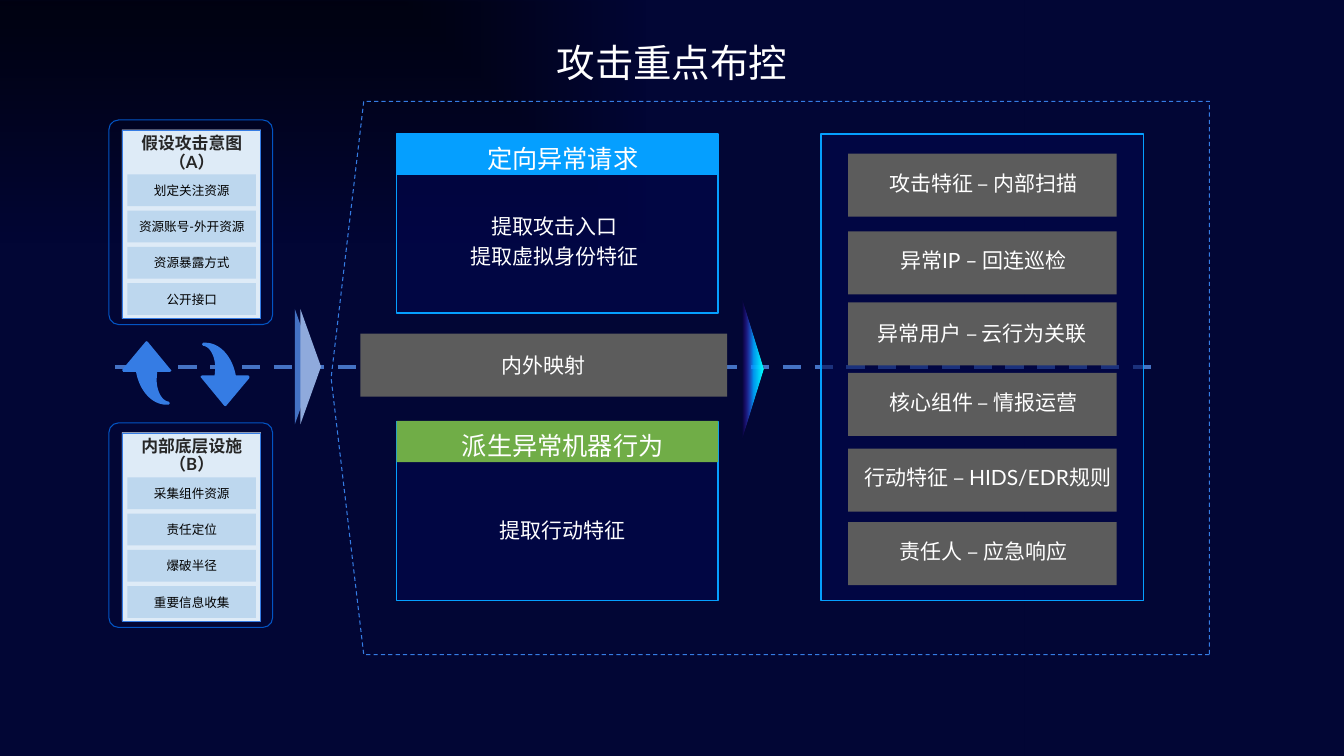
from dataclasses import dataclass

from pptx import Presentation
from pptx.dml.color import RGBColor
from pptx.enum.dml import MSO_LINE
from pptx.enum.shapes import MSO_CONNECTOR, MSO_SHAPE
from pptx.enum.text import MSO_ANCHOR, MSO_AUTO_SIZE, PP_ALIGN
from pptx.oxml import parse_xml
from pptx.oxml.ns import nsdecls, qn
from pptx.util import Inches, Pt


@dataclass(frozen=True)
class Theme:
    font: str = "Lato"
    background: str = "020635"
    white: str = "FFFFFF"
    black: str = "000000"
    dark: str = "262626"
    panel: str = "01064D"
    sky: str = "059FFF"
    green: str = "70AD47"
    gray: str = "5C5C5C"
    blue: str = "4472C4"
    light_blue: str = "8FAADC"
    bright_blue: str = "357CE4"
    card_line: str = "0354C3"
    card: str = "DEEBF7"
    chip: str = "BDD7EE"
    title_size: int = 55
    header_size: int = 36
    body_size: int = 30
    card_size: int = 24
    chip_size: int = 18


T = Theme()


def rgb(color):
    return RGBColor.from_string(color)


def write_text(sp, text, size=T.body_size, color=T.white, bold=False,
               spacing=None, anchor=MSO_ANCHOR.MIDDLE, inset=0.1):
    """Fill a shape with centred text, one paragraph per line."""
    tf = sp.text_frame
    tf.word_wrap = True
    tf.vertical_anchor = anchor
    if inset is not None:
        tf.margin_left = tf.margin_right = Inches(inset)
        tf.margin_top = tf.margin_bottom = Inches(inset)
    for i, line in enumerate(text.split("\n")):
        p = tf.paragraphs[0] if i == 0 else tf.add_paragraph()
        p.alignment = PP_ALIGN.CENTER
        p.line_spacing = spacing
        r = p.add_run()
        r.text = line
        r.font.name, r.font.size, r.font.bold = T.font, Pt(size), bold
        r.font.color.rgb = rgb(color)
    return tf


def curve(p0, p1, p2, p3, steps=16):
    """Points along a cubic Bezier curve."""
    points = []
    for i in range(steps + 1):
        t = i / steps
        weights = ((1 - t) ** 3, 3 * t * (1 - t) ** 2, 3 * t * t * (1 - t), t ** 3)
        points.append(tuple(sum(w * q[axis] for w, q in zip(weights, (p0, p1, p2, p3)))
                            for axis in (0, 1)))
    return points


class Builder:
    def __init__(self, slide):
        self.s = slide

    def finish(self, sp, fill=None, alpha=None, line=None, width=1.5, dash=None):
        sp.shadow.inherit = False
        if fill:
            sp.fill.solid()
            sp.fill.fore_color.rgb = rgb(fill)
            if alpha is not None:
                color = sp._element.spPr.find(qn("a:solidFill"))[0]
                color.append(parse_xml(f'<a:alpha {nsdecls("a")} val="{alpha * 1000}"/>'))
        else:
            sp.fill.background()
        if line:
            sp.line.color.rgb = rgb(line)
            sp.line.width = Pt(width)
            if dash:
                sp.line.dash_style = dash
        else:
            sp.line.fill.background()
        return sp

    def shape(self, x, y, w, h, kind=MSO_SHAPE.RECTANGLE, adj=None, rotation=0, **style):
        sp = self.s.shapes.add_shape(kind, Inches(x), Inches(y), Inches(w), Inches(h))
        if adj is not None:
            sp.adjustments[0] = adj
        sp.rotation = rotation
        return self.finish(sp, **style)

    def text(self, x, y, w, h, text, grow=False, **style):
        sp = self.s.shapes.add_textbox(Inches(x), Inches(y), Inches(w), Inches(h))
        tf = write_text(sp, text, **style)
        if grow:
            tf.auto_size = MSO_AUTO_SIZE.SHAPE_TO_FIT_TEXT

    def freeform(self, points, **style):
        points = [(Inches(x), Inches(y)) for x, y in points]
        fb = self.s.shapes.build_freeform(*points[0])
        fb.add_line_segments(points[1:], close=True)
        return self.finish(fb.convert_to_shape(), **style)

    def gradient(self, sp, stops, direction):
        stop_xml = "".join(
            f'<a:gs pos="{pos * 1000}"><a:srgbClr val="{color}">'
            f'<a:alpha val="{alpha * 1000}"/></a:srgbClr></a:gs>'
            for pos, color, alpha in stops)
        spPr = sp._element.spPr
        spPr.replace(spPr.find(qn("a:noFill")), parse_xml(
            f'<a:gradFill {nsdecls("a")} rotWithShape="1">'
            f'<a:gsLst>{stop_xml}</a:gsLst>{direction}</a:gradFill>'))

    def dashed_line(self, x1, y1, x2, y2, color, width):
        c = self.s.shapes.add_connector(MSO_CONNECTOR.STRAIGHT, Inches(x1), Inches(y1),
                                        Inches(x2), Inches(y2))
        c.line.color.rgb = rgb(color)
        c.line.width = Pt(width)
        c.line.dash_style = MSO_LINE.DASH
        c._element.spPr.append(parse_xml(f'<a:effectLst {nsdecls("a")}/>'))

    def headed_panel(self, y, header, color):
        self.shape(7.87, y + 0.01, 6.38, 3.55, fill=T.panel, alpha=60, line=T.sky, width=2)
        self.shape(7.87, y, 6.38, 0.82, fill=color)
        self.text(8.77, y + 0.21, 4.79, 0.55, header, size=T.header_size, inset=0.02)

    def card(self, y, title, items):
        self.shape(2.16, y, 3.25, 4.06, MSO_SHAPE.ROUNDED_RECTANGLE, 0.06, line=T.card_line)
        self.shape(2.42, y + 0.19, 2.76, 3.75, fill=T.card)
        self.text(2.47, y + 0.26, 2.67, 0.81, title, size=T.card_size, color=T.dark,
                  bold=True, spacing=0.9, inset=None)
        self.shape(2.43, y + 0.21, 2.74, 3.73, line=T.bright_blue)
        for i, item in enumerate(items):
            chip = self.shape(2.53, y + 1.08 + 0.72 * i, 2.55, 0.63, fill=T.chip)
            write_text(chip, item, size=T.chip_size, color=T.black)


def main():
    prs = Presentation()
    prs.slide_width, prs.slide_height = Inches(26.67), Inches(15)
    s = prs.slides.add_slide(prs.slide_layouts[6])
    s.background.fill.solid()
    s.background.fill.fore_color.rgb = rgb(T.background)
    b = Builder(s)

    # Dark glow in the top left corner, and title
    glow = b.shape(0, 0.01, 20.32, 15)
    b.gradient(glow, [(0, T.black, 100), (56, T.black, 50), (100, T.black, 0)],
               '<a:path path="rect"><a:fillToRect l="-98000" t="-85000" '
               'r="198000" b="185000"/></a:path>')
    b.text(5, 0.72, 16.67, 1.01, "攻击重点布控", size=T.title_size,
           anchor=MSO_ANCHOR.TOP, inset=None)

    # Middle panels and the axis between them
    b.headed_panel(2.65, "定向异常请求", T.sky)
    b.text(8.45, 3.98, 5.11, 1.5, "提取攻击入口\n提取虚拟身份特征", spacing=1.2, inset=0.02)
    b.headed_panel(8.35, "派生异常机器行为", T.green)
    b.dashed_line(2.28, 7.28, 23.07, 7.28, T.blue, 6.5)
    b.text(8.61, 9.72, 5.11, 1.5, "提取行动特征", spacing=1.2, inset=0.02)

    # Cards on the left
    b.card(2.38, "假设攻击意图（A）",
           ["划定关注资源", "资源账号-外开资源", "资源暴露方式", "公开接口"])
    b.card(8.39, "内部底层设施\n（B）",
           ["采集组件资源", "责任定位", "爆破半径", "重要信息收集"])

    # Curved arrows: the second is the first turned by half
    up_arrow = [(3.4, 7.35), (2.93, 6.78), (2.91, 6.77), (2.89, 6.78), (2.43, 7.33),
                (2.43, 7.36), (2.45, 7.38),
                *curve((2.7, 7.38), (2.77, 7.76), (3.02, 8.03), (3.3, 8.03)),
                (3.35, 8.03), (3.37, 8), (3.35, 7.97),
                *curve((3.35, 7.97), (3.19, 7.95), (3.1, 7.71), (3.11, 7.51)),
                (3.12, 7.38), (3.37, 7.38), (3.4, 7.36)]
    down_arrow = [(7.38 - x, 14.83 - y) for x, y in up_arrow]
    for arrow in (up_arrow, down_arrow):
        b.freeform(arrow, fill=T.bright_blue)

    # Dashed frame and pointers
    b.shape(6.57, 2.01, 17.43, 10.98, MSO_SHAPE.PENTAGON, 0.059, 180,
            line=T.bright_blue, dash=MSO_LINE.DASH)
    for x, color in ((4.91, T.blue), (5.02, T.light_blue)):
        b.shape(x, 7.07, 2.29, 0.41, MSO_SHAPE.ISOSCELES_TRIANGLE, rotation=90, fill=color)
    pointer = b.freeform([(15.15, 7.32), (14.74, 5.93), (14.74, 8.71)])
    b.gradient(pointer, [(3, "00FFFF", 100), (48, "00A2FF", 91), (100, "7700FF", 0)],
               '<a:lin ang="10800000" scaled="0"/>')

    # Mapping bar
    label = dict(grow=True, anchor=MSO_ANCHOR.TOP)
    b.shape(7.15, 6.62, 7.28, 1.25, fill=T.gray)
    b.text(9.45, 6.9, 2.68, 0.71, "内外映射", **label)

    # Controls on the right: bar top, text left, top and width
    b.shape(16.29, 2.66, 6.4, 9.26, fill=T.panel, alpha=60, line=T.sky, width=2)
    controls = [
        (3.05, 17.36, 3.28, 4.31, "攻击特征 – 内部扫描"),
        (4.59, 17.36, 4.82, 4.31, "异常IP – 回连巡检"),
        (6.0, 17.09, 6.26, 4.8, "异常用户 – 云行为关联"),
        (7.4, 17.36, 7.63, 4.31, "核心组件 – 情报运营"),
        (8.9, 16.83, 9.11, 5.54, "行动特征 – HIDS/EDR规则"),
        (10.36, 17.36, 10.59, 4.31, "责任人 – 应急响应"),
    ]
    for bar_y, x, y, w, text in controls:
        b.shape(16.83, bar_y, 5.33, 1.25, fill=T.gray)
        b.text(x, y, w, 0.71, text, **label)

    prs.save("out.pptx")


if __name__ == "__main__":
    main()
